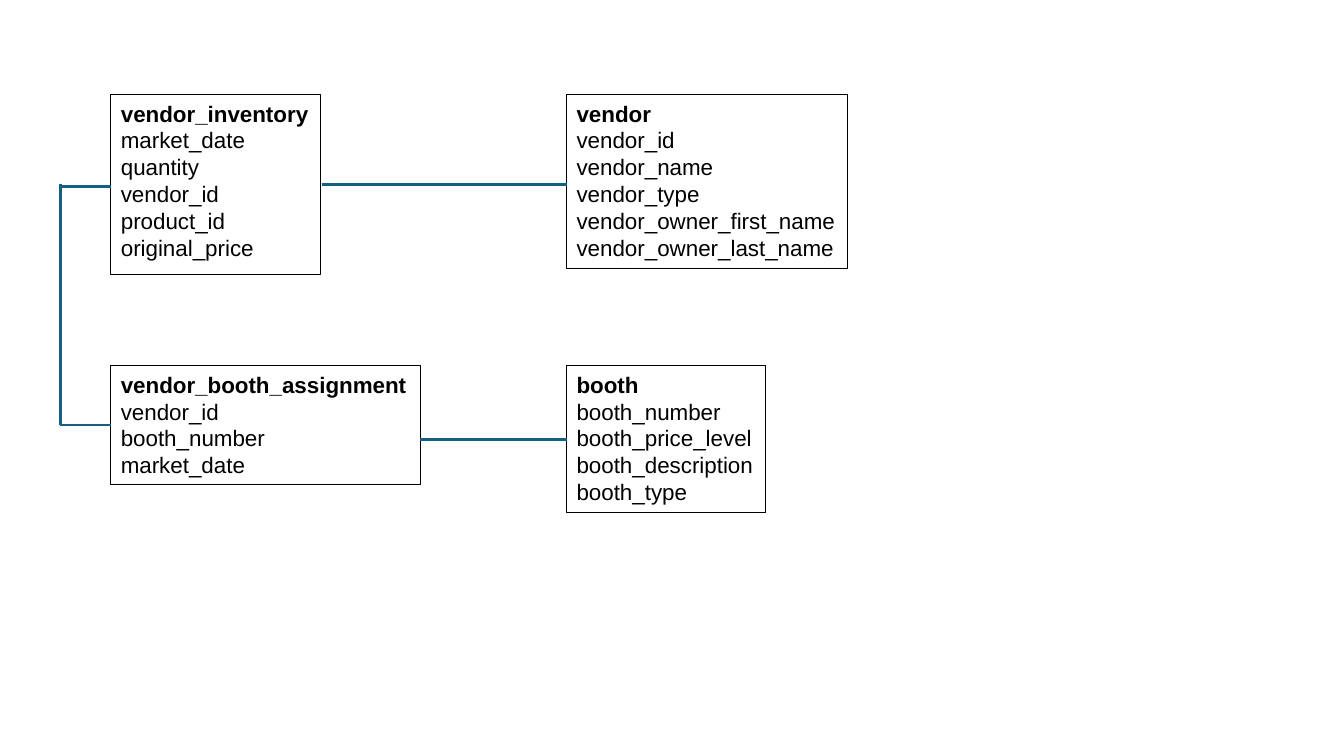
"""Build a slide with the table relationships of a market vendor database."""
from pptx import Presentation
from pptx.dml.color import RGBColor
from pptx.enum.shapes import MSO_CONNECTOR as Connector
from pptx.enum.text import MSO_ANCHOR as Anchor, MSO_AUTO_SIZE as AutoSize
from pptx.oxml.ns import qn
from pptx.util import Pt
from lxml.etree import SubElement

EMU_PER_PX = 9144
COLORS = {"ink": "000000", "link": "156082"}


class Diagram:
    """Hold the diagram style and the current slide."""

    def __init__(self, slide, font="Arial", size=16):
        self.shapes = slide.shapes
        self.font, self.size = font, size

    def px(self, *lengths):
        """Turn px lengths into EMU."""
        return [length * EMU_PER_PX for length in lengths]

    def outline(self, line, color, width):
        """Give a line its colour and width."""
        line.color.rgb = RGBColor.from_string(COLORS[color])
        line.width = Pt(width)

    def entity(self, left, top, width, height, title, *fields):
        """Draw a framed table with a bold title above its fields."""
        box = self.shapes.add_textbox(*self.px(left, top, width, height))
        self.outline(box.line, "ink", 0.75)
        frame = box.text_frame
        frame.word_wrap = False
        frame.auto_size = AutoSize.NONE
        frame.vertical_anchor = Anchor.TOP
        frame.text = "\n".join([title, *fields])
        for row, paragraph in enumerate(frame.paragraphs):
            font = paragraph.font
            font.name, font.size, font.bold = self.font, Pt(self.size), row == 0
            font.color.rgb = RGBColor.from_string(COLORS["ink"])

    def link(self, x1, y1, x2, y2):
        """Draw one straight relationship line."""
        link = self.shapes.add_connector(Connector.STRAIGHT, *self.px(x1, y1, x2, y2))
        self.outline(link.line, "link", 1.5)
        SubElement(link._element.spPr, qn("a:effectLst"))


def main():
    """Draw the four tables and their relationships."""
    deck = Presentation()
    deck.slide_width, deck.slide_height = 1333 * EMU_PER_PX, 750 * EMU_PER_PX
    diagram = Diagram(deck.slides.add_slide(deck.slide_layouts[6]))

    left_column, right_column = 110, 562
    top_row, bottom_row = 94, 363
    diagram.entity(left_column, top_row, 208, 178, "vendor_inventory",
                   "market_date", "quantity", "vendor_id", "product_id", "original_price")
    diagram.entity(left_column, bottom_row, 307, 118, "vendor_booth_assignment",
                   "vendor_id", "booth_number", "market_date")
    diagram.entity(right_column, top_row, 279, 172, "vendor", "vendor_id", "vendor_name",
                   "vendor_type", "vendor_owner_first_name", "vendor_owner_last_name")
    diagram.entity(right_column, bottom_row, 197, 145, "booth", "booth_number",
                   "booth_price_level", "booth_description", "booth_type")

    diagram.link(319, 183, right_column, 183)
    diagram.link(417, 436, right_column, 436)
    rail, inventory_y, assignment_y = 60, 185, 422
    diagram.link(rail, assignment_y, rail, 183)
    for y in (assignment_y, inventory_y):
        diagram.link(rail, y, left_column, y)

    deck.save("out.pptx")


if __name__ == "__main__":
    main()
